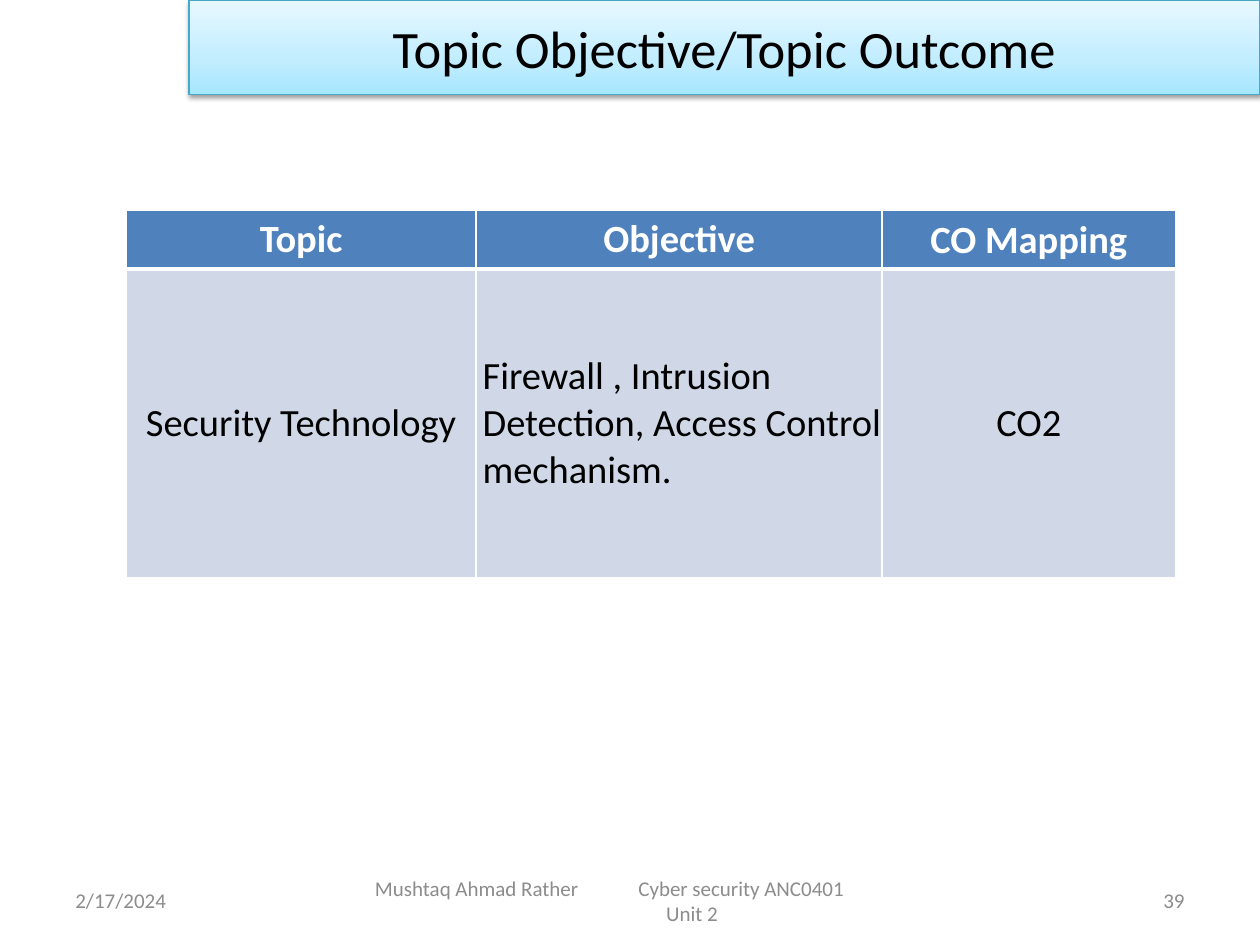
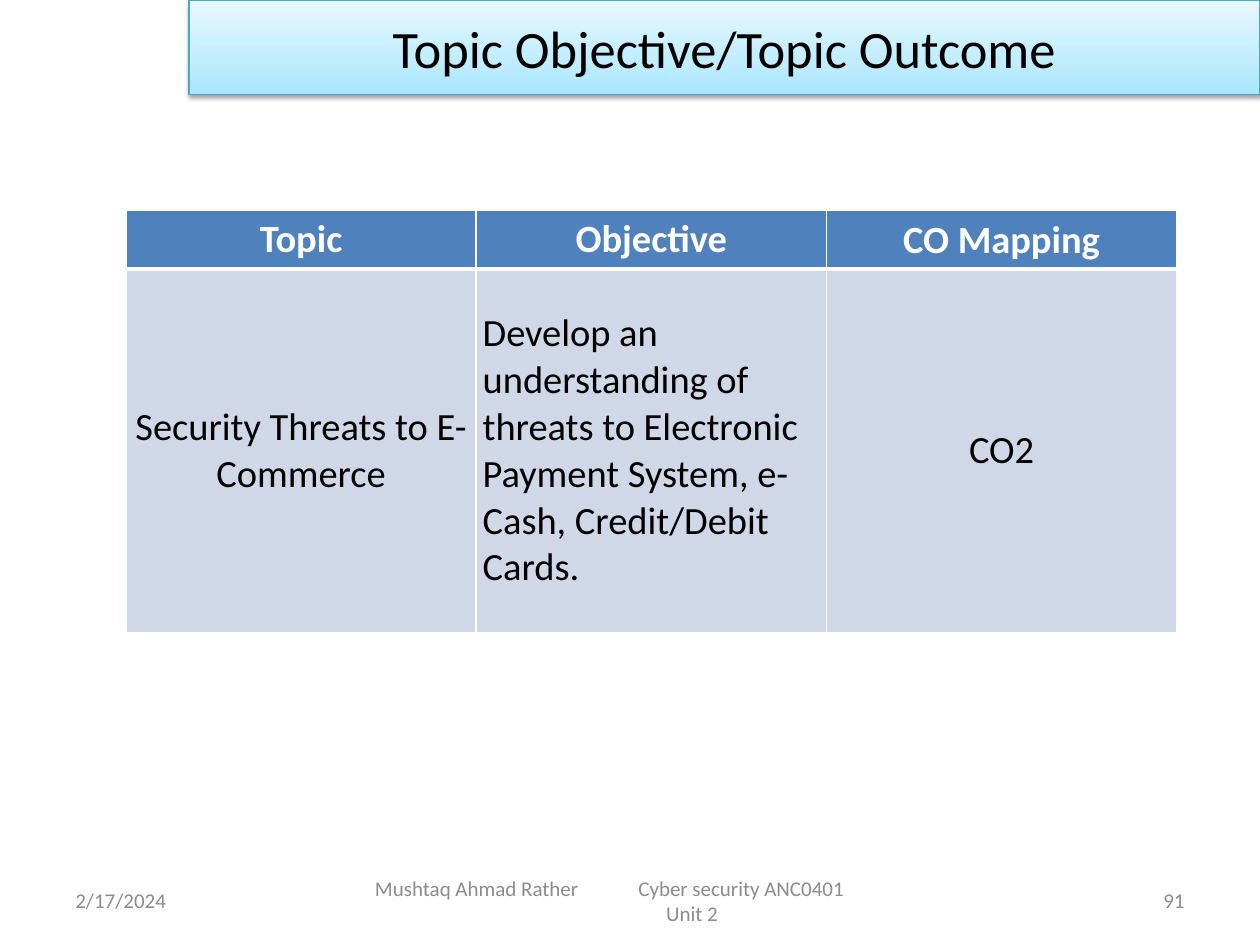
from dataclasses import dataclass
from typing import Optional

from lxml import etree
from pptx import Presentation
from pptx import util as u
from pptx.dml.color import RGBColor
from pptx.enum import shapes, text
from pptx.oxml import ns


@dataclass(frozen=True)
class Theme:
    font: str = "Calibri"
    title_size: int = 30
    table_size: int = 22
    footer_size: int = 12
    ink: str = "000000"
    white: str = "FFFFFF"
    footer_grey: str = "8C8C8C"
    header_fill: str = "4F81BD"
    body_fill: str = "D0D8E8"
    band_line: str = "46AAC5"
    band_stops: tuple = ((0, "A7E6FF"), (35, "C1EDFF"), (100, "E7F8FF"))


@dataclass(frozen=True)
class Area:
    """A rectangle on the page, in centimetres."""
    left: float
    top: float
    width: float
    height: float

    def lengths(self) -> tuple:
        return tuple(u.Cm(v) for v in (self.left, self.top, self.width, self.height))


@dataclass(frozen=True)
class Column:
    heading: str
    align: text.PP_ALIGN
    insets: Optional[tuple]


@dataclass(frozen=True)
class TopicPage:
    number: int
    widths: tuple
    body_height: float
    entries: tuple


THEME = Theme()
LEFT, CENTER, RIGHT = text.PP_ALIGN.LEFT, text.PP_ALIGN.CENTER, text.PP_ALIGN.RIGHT

TITLE = "Topic Objective/Topic Outcome"
TITLE_BAND = Area(3.81, 0, 21.59, 1.9)
DATE_AREA = Area(1.27, 17.65, 5.92, 1.01)
COURSE_AREA = Area(6.98, 17.65, 13.97, 1.01)
NUMBER_AREA = Area(18.21, 17.65, 5.92, 1.01)
COURSE_LINES = ("Mushtaq Ahmad Rather\tCyber security ANC0401", "Unit 2")
COURSE_INSET, COURSE_TAB, UNIT_INDENT = 0.58, 5.31, 5.87

TABLE_LEFT, TABLE_TOP, HEADER_HEIGHT = 2.54, 4.24, 1.15
COLUMNS = (
    Column("Topic", CENTER, (0, 0, 0, 0)),
    Column("Objective", LEFT, (0.13, 0, 0, 0)),
    Column("CO Mapping", CENTER, None),
)
PAGES = (
    TopicPage(39, (7.06, 8.18, 5.92), 6.22, (
        "Security Technology",
        "Firewall , Intrusion Detection, Access Control mechanism.",
        "CO2")),
    TopicPage(91, (7.06, 7.06, 7.06), 7.32, (
        "Security Threats to E-Commerce",
        "Develop an understanding of threats to Electronic Payment System, "
        "e- Cash, Credit/Debit Cards.",
        "CO2")),
)


def add_xml(parent, tag: str, **attributes):
    return etree.SubElement(parent, ns.qn(tag), {k: str(v) for k, v in attributes.items()})


def write(para, words: str, *, size: int, color: str, align=LEFT, bold: bool = False) -> None:
    para.alignment = align
    span = para.add_run()
    span.text = words
    span.font.name = THEME.font
    span.font.size = u.Pt(size)
    span.font.bold = bold
    span.font.color.rgb = RGBColor.from_string(color)


def add_box(page, area: Area):
    """Add an empty, wrapping, vertically centred text box and return its frame."""
    frame = page.shapes.add_textbox(*area.lengths()).text_frame
    frame.word_wrap = True
    frame.vertical_anchor = text.MSO_ANCHOR.MIDDLE
    return frame


def add_title_band(page) -> None:
    band = page.shapes.add_shape(shapes.MSO_SHAPE.RECTANGLE, *TITLE_BAND.lengths())
    band.fill.gradient()
    band.fill.gradient_angle = 90
    properties = band._element.spPr
    stops = properties.find(".//" + ns.qn("a:gsLst"))
    for stop in list(stops):
        stops.remove(stop)
    for percent, color in THEME.band_stops:
        add_xml(add_xml(stops, "a:gs", pos=percent * 1000), "a:srgbClr", val=color)
    band.line.color.rgb = RGBColor.from_string(THEME.band_line)
    band.line.width = u.Pt(0.75)
    band.shadow.inherit = False
    shadow = add_xml(properties.find(ns.qn("a:effectLst")), "a:outerShdw",
                     blurRad=u.Pt(3.1), dist=u.Pt(1.6), dir=90 * 60000, rotWithShape=0)
    add_xml(add_xml(shadow, "a:srgbClr", val=THEME.ink), "a:alpha", val=38000)
    band.text_frame.vertical_anchor = text.MSO_ANCHOR.MIDDLE
    write(band.text_frame.paragraphs[0], TITLE, size=THEME.title_size,
          color=THEME.ink, align=CENTER)


def add_footer(page, number: int) -> None:
    style = dict(size=THEME.footer_size, color=THEME.footer_grey)
    write(add_box(page, DATE_AREA).paragraphs[0], "2/17/2024", **style)
    write(add_box(page, NUMBER_AREA).paragraphs[0], str(number), align=RIGHT, **style)

    course = add_box(page, COURSE_AREA)
    course.margin_left = u.Cm(COURSE_INSET)
    names, unit = course.paragraphs[0], course.add_paragraph()
    tabs = add_xml(names._p.get_or_add_pPr(), "a:tabLst")
    add_xml(tabs, "a:tab", pos=u.Cm(COURSE_TAB), algn="l")
    unit._p.get_or_add_pPr().set("marL", str(u.Cm(UNIT_INDENT)))
    for para, words in zip((names, unit), COURSE_LINES):
        write(para, words, **style)


def set_borders(cell, **widths: float) -> None:
    """Draw white borders; keywords L, R, T and B give widths in points."""
    properties = cell._tc.get_or_add_tcPr()
    for index, side in enumerate("LRTB"):
        line = add_xml(properties, f"a:ln{side}", w=u.Pt(widths.get(side, 1)))
        add_xml(add_xml(line, "a:solidFill"), "a:srgbClr", val=THEME.white)
        properties.insert(index, line)


def fill_cell(cell, words: str, *, insets: Optional[tuple], fill: str, **style) -> None:
    cell.vertical_anchor = text.MSO_ANCHOR.MIDDLE
    if insets is not None:
        (cell.margin_left, cell.margin_top,
         cell.margin_right, cell.margin_bottom) = (u.Cm(v) for v in insets)
    cell.fill.solid()
    cell.fill.fore_color.rgb = RGBColor.from_string(fill)
    write(cell.text_frame.paragraphs[0], words, size=THEME.table_size, **style)


def add_topic_table(page, topic: TopicPage) -> None:
    area = Area(TABLE_LEFT, TABLE_TOP, sum(topic.widths), HEADER_HEIGHT + topic.body_height)
    table = page.shapes.add_table(2, len(COLUMNS), *area.lengths()).table
    for row, height in zip(table.rows, (HEADER_HEIGHT, topic.body_height)):
        row.height = u.Cm(height)
    for index, (column, width, entry) in enumerate(zip(COLUMNS, topic.widths, topic.entries)):
        table.columns[index].width = u.Cm(width)
        header, body = table.cell(0, index), table.cell(1, index)
        header_insets = None if column.insets is None else (0, 0, 0, 0)
        fill_cell(header, column.heading, insets=header_insets, fill=THEME.header_fill,
                  color=THEME.white, align=CENTER, bold=True)
        fill_cell(body, entry, insets=column.insets, fill=THEME.body_fill,
                  color=THEME.ink, align=column.align)
        set_borders(header, B=3)
        set_borders(body, T=3)


def main() -> None:
    deck = Presentation()
    deck.slide_width, deck.slide_height = u.Cm(25.4), u.Cm(19.05)
    blank = deck.slide_layouts[6]
    for topic in PAGES:
        page = deck.slides.add_slide(blank)
        add_title_band(page)
        add_footer(page, topic.number)
        add_topic_table(page, topic)
    deck.save("out.pptx")


if __name__ == "__main__":
    main()
